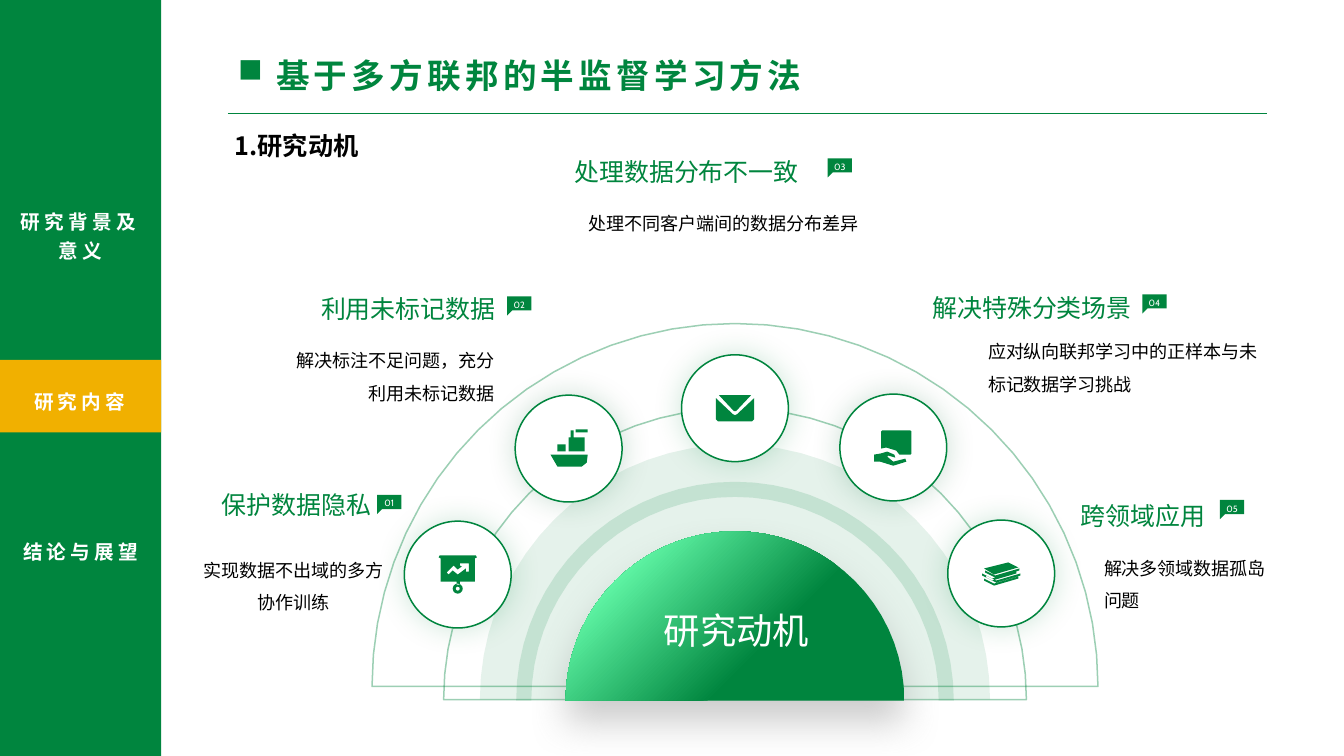
import math
import pptx
import pptx.dml.color
import pptx.enum.dml
import pptx.enum.shapes
import pptx.enum.text
import pptx.oxml
import pptx.oxml.ns
import pptx.util

Inches = pptx.util.Inches
Pt = pptx.util.Pt
Align = pptx.enum.text.PP_ALIGN
Kind = pptx.enum.shapes.MSO_SHAPE
NS = pptx.oxml.ns.nsdecls("a")
HUES = {"green": "00853E", "mint": "68FFAE", "deep": "00642F", "gold": "F1B000",
        "gray": "808080", "white": "FFFFFF", "black": "000000"}
RGB = {name: pptx.dml.color.RGBColor.from_string(code) for name, code in HUES.items()}
SANS, CABIN = "Noto Sans CJK SC", "Cabin"

deck = pptx.Presentation()
deck.slide_width, deck.slide_height = Inches(13.33), Inches(7.5)
slide = deck.slides.add_slide(deck.slide_layouts[5])
shapes = slide.shapes


def write(box, words, size, hue, face=SANS, align=Align.LEFT, lead=None,
          bold=False, track=0, pad=(0.1, 0.05)):
    """Put one styled run into a text box."""
    frame = box.text_frame
    frame.word_wrap = True
    frame.auto_size = pptx.enum.text.MSO_AUTO_SIZE.SHAPE_TO_FIT_TEXT
    frame.vertical_anchor = pptx.enum.text.MSO_ANCHOR.TOP
    frame.margin_left = frame.margin_right = Inches(pad[0])
    frame.margin_top = frame.margin_bottom = Inches(pad[1])
    para = frame.paragraphs[0]
    para.alignment = align
    if lead:
        para.line_spacing = lead
    run = para.add_run()
    run.text = words
    run.font.size, run.font.bold = Pt(size), bold
    run.font.color.rgb = RGB[hue]
    run.font.name = face
    props = run._r.get_or_add_rPr()
    props.append(pptx.oxml.parse_xml(f'<a:ea {NS} typeface="{SANS}"/>'))
    if track:
        props.set("spc", str(track * 100))


def trace(loops):
    """Draw closed outlines, given in inches, as one green shape."""
    pen = None
    for loop in loops:
        dots = [(Inches(x), Inches(y)) for x, y in loop]
        if pen is None:
            pen = shapes.build_freeform(*dots[0])
        else:
            pen.move_to(*dots[0])
        pen.add_line_segments(dots[1:], close=True)
    shape = pen.convert_to_shape()
    shape.shadow.inherit = False
    shape.fill.solid()
    shape.fill.fore_color.rgb = RGB["green"]
    shape.line.fill.background()
    return shape


# Title and rule
rule = shapes.add_connector(pptx.enum.shapes.MSO_CONNECTOR.STRAIGHT,
                            Inches(2.26), Inches(1.12), Inches(12.57), Inches(1.12))
rule.line.color.rgb, rule.line.width = RGB["green"], Pt(0.5)
rule._element.spPr.append(pptx.oxml.parse_xml(f"<a:effectLst {NS}/>"))
title = shapes.title
title.left, title.top, title.width, title.height = map(Inches, (2.26, 0.49, 8.57, 0.5))
props = title.text_frame.paragraphs[0]._p.get_or_add_pPr()
props.set("marL", str(Inches(0.38)))
props.set("indent", str(Inches(-0.38)))
props.append(pptx.oxml.parse_xml(f'<a:buChar {NS} char="■"/>'))
write(title, "基于多方联邦的半监督学习方法", 24, "green", bold=True, track=3)

# Side bar
for top, high, hue in ((0, 7.5, "green"), (3.57, 0.72, "gold")):
    bar = shapes.add_shape(Kind.RECTANGLE, 0, Inches(top), Inches(1.6), Inches(high))
    bar.shadow.inherit = False
    bar.fill.solid()
    bar.fill.fore_color.rgb = RGB[hue]
    bar.line.fill.background()
for words, box, align in (
        ("研究背景及意义", (0, 1.99, 1.6, 0.66), Align.CENTER),
        ("研究内容", (0.24, 3.77, 1.24, 0.38), Align.LEFT),
        ("结论与展望", (0, 5.26, 1.6, 0.38), Align.CENTER)):
    write(shapes.add_textbox(*map(Inches, box)), words, 14, "white",
          align=align, lead=1.2, bold=True, track=3)

# Half discs: radius, base, opacity, filled
MID = 7.29
ring = [(math.cos(math.radians(a)), -math.sin(math.radians(a))) for a in range(0, 360, 5)]
half = ring[:37]
for size, base, clear, solid in ((2.53, 6.94, 10, True), (2.89, 6.94, 38, False),
                                 (3.6, 6.81, 38, False)):
    dome = trace([[(MID + size * x, base + size * y) for x, y in half]])
    if not solid:
        dome.fill.background()
        dome.line.color.rgb, dome.line.width = RGB["green"], Pt(1.08)
    tint = next(dome._element.spPr.iter(pptx.oxml.ns.qn("a:srgbClr")))
    tint.append(pptx.oxml.parse_xml(f'<a:alpha {NS} val="{clear * 1000}"/>'))

# Core with radial gradient
core = trace([[(MID + 1.68 * x, 6.95 + 1.68 * y) for x, y in half]])
core.fill.gradient()
for stop, spot, hue in zip(core.fill.gradient_stops, (0.15, 0.62), ("mint", "green")):
    stop.position, stop.color.rgb = spot, RGB[hue]
lin = next(core._element.spPr.iter(pptx.oxml.ns.qn("a:lin")))
lin.getparent().replace(lin, pptx.oxml.parse_xml(
    f'<a:path {NS} path="circle"><a:fillToRect r="100000" b="100000"/></a:path>'))
shades = [(core, "gray", 40, 27.9, 15)]

# Icons
board = [[(4.36, 5.51), (4.72, 5.51), (4.73, 5.53), (4.71, 5.54), (4.71, 5.77),
          (4.56, 5.77), (4.56, 5.8), (4.53, 5.8), (4.53, 5.77), (4.37, 5.77),
          (4.37, 5.54), (4.35, 5.53)],
         [(4.43, 5.68), (4.5, 5.61), (4.54, 5.65), (4.58, 5.62), (4.56, 5.61),
          (4.56, 5.59), (4.65, 5.59), (4.65, 5.67), (4.62, 5.67), (4.62, 5.64),
          (4.54, 5.7), (4.49, 5.66), (4.45, 5.7)]]
board += [[(4.54 + r * x, 5.84 + r * y) for x, y in ring[::6]] for r in (0.05, 0.02)]
mail = [[(7.13, 3.92), (7.45, 3.92), (7.3, 4.08), (7.28, 4.08)],
        [(7.1, 3.95), (7.27, 4.11), (7.29, 4.12), (7.31, 4.11), (7.48, 3.95),
         (7.48, 4.16), (7.46, 4.18), (7.12, 4.18), (7.1, 4.16)]]
books = [[(9.76, 5.64), (10, 5.58), (10.1, 5.63), (9.86, 5.7)]]
for dx, dy in ((0.01, 0), (-0.02, 0.03), (0.02, 0.05), (0, 0.08)):
    books.append([(x + dx, y + dy) for x, y in (
        (9.76, 5.66), (9.86, 5.71), (10.1, 5.64), (10.1, 5.66), (9.86, 5.73), (9.76, 5.68))])
hand = [[(8.75, 4.27), (9.03, 4.27), (9.04, 4.28), (9.04, 4.5), (9.03, 4.51), (8.92, 4.51),
         (8.89, 4.47), (8.79, 4.44), (8.74, 4.45), (8.74, 4.28)],
        [(8.67, 4.51), (8.73, 4.5), (8.8, 4.48), (8.87, 4.51), (8.88, 4.54), (8.81, 4.52),
         (8.8, 4.53), (8.86, 4.58), (8.98, 4.55), (8.99, 4.58), (8.86, 4.62), (8.73, 4.58),
         (8.67, 4.58)]]
ship = [[(5.46, 4.51), (5.83, 4.51), (5.82, 4.59), (5.77, 4.63), (5.53, 4.63)],
        [(5.53, 4.41), (5.61, 4.41), (5.61, 4.48), (5.53, 4.48)],
        [(5.64, 4.34), (5.66, 4.34), (5.66, 4.27), (5.69, 4.27), (5.69, 4.34),
         (5.8, 4.34), (5.8, 4.48), (5.64, 4.48)],
        [(5.71, 4.26), (5.83, 4.26), (5.83, 4.29), (5.71, 4.29)]]

# Round discs with icons
for left, top, turn, glow, icon in (
        (4.01, 5.17, 299.2, "green", board), (6.76, 3.52, 0, "green", mail),
        (9.4, 5.16, 36.8, "green", books), (8.33, 3.91, 46, "deep", hand),
        (5.11, 3.92, 320.5, "deep", ship)):
    disc = shapes.add_shape(Kind.OVAL, Inches(left), Inches(top), Inches(1.06), Inches(1.06))
    disc.rotation = turn
    disc.shadow.inherit = False
    disc.fill.solid()
    disc.fill.fore_color.rgb = RGB["white"]
    disc.line.color.rgb, disc.line.width = RGB["green"], Pt(1.08)
    shades.append((disc, glow, 20, 21.6, 0))
    trace(icon)

# Soft shadows
for shape, hue, clear, blur, drop in shades:
    effect = shape._element.spPr.find(pptx.oxml.ns.qn("a:effectLst"))
    effect.append(pptx.oxml.parse_xml(
        f'<a:outerShdw {NS} blurRad="{Pt(blur)}" dist="{Pt(drop)}" dir="5400000" '
        f'rotWithShape="0"><a:srgbClr val="{HUES[hue]}">'
        f'<a:alpha val="{clear * 1000}"/></a:srgbClr></a:outerShdw>'))

# Five motives: heading, its box, align, tag corner, detail, its box, align
THIN = (0.06, 0.03)
motives = (
    ("保护数据隐私", (1.65, 4.83, 2.09, 0.36), Align.RIGHT, (3.74, 4.91),
     "实现数据不出域的多方协作训练", (1.87, 5.41, 2.08, 0.71), Align.CENTER),
    ("利用未标记数据", (2.92, 2.88, 2.05, 0.36), Align.RIGHT, (5.03, 2.94),
     "解决标注不足问题，充分利用未标记数据", (2.75, 3.33, 2.21, 0.71), Align.RIGHT),
    ("处理数据分布不一致", (5.46, 1.52, 2.7, 0.36), Align.CENTER, (8.21, 1.57),
     "处理不同客户端间的数据分布差异", (5.61, 1.97, 3.13, 0.39), Align.CENTER),
    ("解决特殊分类场景", (9.19, 2.87, 2.1, 0.36), Align.LEFT, (11.33, 2.92),
     "应对纵向联邦学习中的正样本与未标记数据学习挑战", (9.74, 3.24, 2.88, 0.71), Align.LEFT),
    ("跨领域应用", (10.66, 4.94, 1.99, 0.36), Align.LEFT, (12.1, 4.96),
     "解决多领域数据孤岛问题", (10.89, 5.39, 1.9, 0.71), Align.LEFT))
for count, (head, spot, side, (x, y), note, area, flow) in enumerate(motives, 1):
    write(shapes.add_textbox(*map(Inches, spot)), head, 17.8, "green", CABIN, side, pad=THIN)
    trace([[(x, y), (x + 0.24, y), (x + 0.24, y + 0.14), (x + 0.05, y + 0.14), (x, y + 0.19)]])
    write(shapes.add_textbox(*map(Inches, (x - 0.04, y, 0.32, 0.17))), f"{count:02}",
          6.5, "white", CABIN, Align.CENTER, pad=THIN)
    write(shapes.add_textbox(*map(Inches, area)), note, 12.9, "black",
          align=flow, lead=1.5, pad=THIN)

# Core label, inner band and subtitle
write(shapes.add_textbox(*map(Inches, (6.47, 6, 1.67, 0.49))), "研究动机", 25.9, "white",
      CABIN, Align.CENTER, pad=THIN)
band = trace([[(MID + 2.17 * x, 6.95 + 2.17 * y) for x, y in half]
              + [(MID + 2.02 * x, 6.95 + 2.02 * y) for x, y in reversed(half)]])
tint = next(band._element.spPr.iter(pptx.oxml.ns.qn("a:srgbClr")))
tint.append(pptx.oxml.parse_xml(f'<a:alpha {NS} val="14000"/>'))
write(shapes.add_textbox(*map(Inches, (2.23, 1.24, 1.93, 0.4))), "1.研究动机", 18, "black",
      bold=True)

deck.save("out.pptx")
